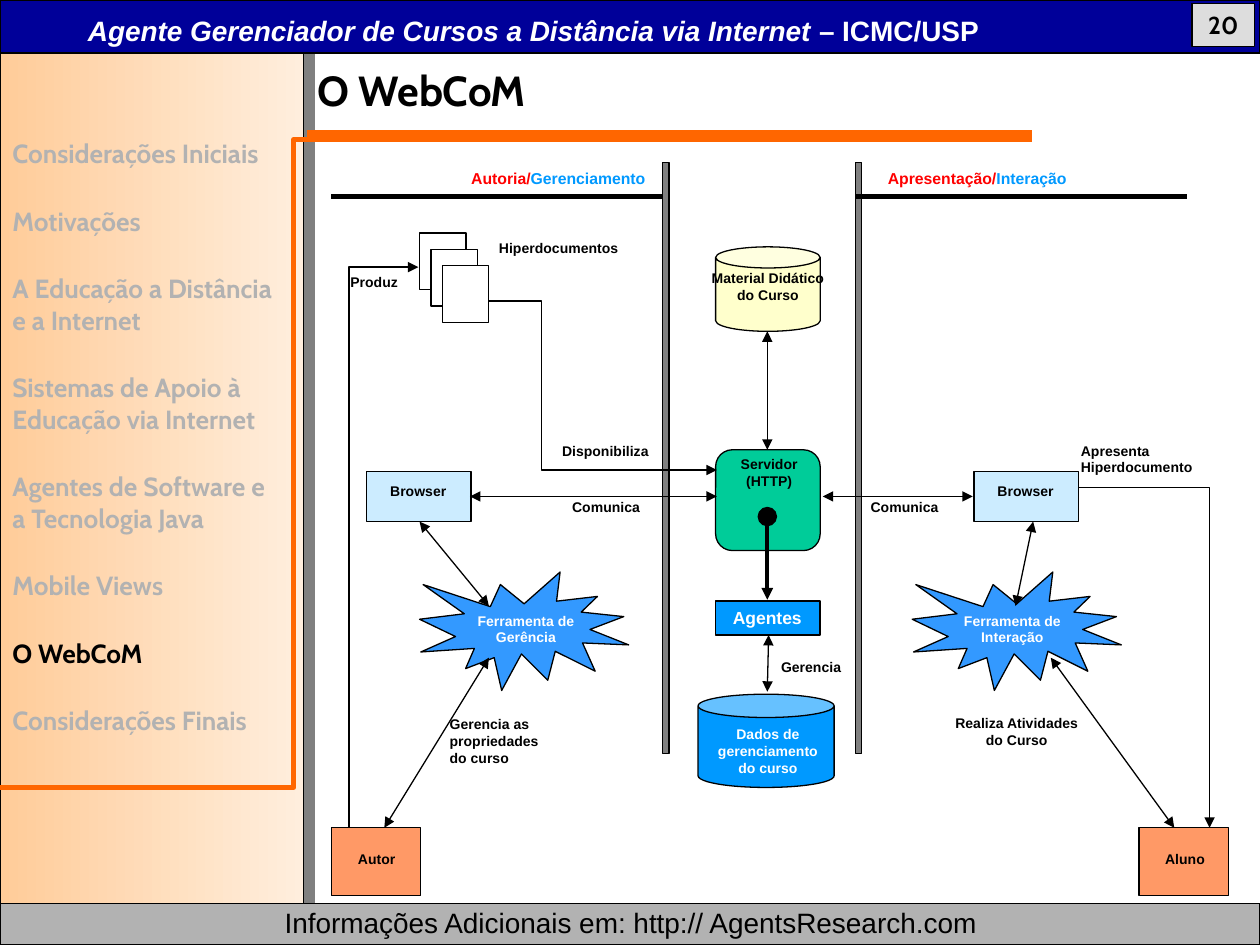
from typing import NamedTuple, Optional

from lxml import etree
from pptx import Presentation
from pptx.dml.color import RGBColor
from pptx.enum.shapes import MSO_CONNECTOR, MSO_SHAPE as Shp
from pptx.enum.text import MSO_ANCHOR, MSO_AUTO_SIZE, PP_ALIGN as Al
from pptx.oxml.ns import qn
from pptx.util import Inches, Pt

BLACK = RGBColor(0x00, 0x00, 0x00)
WHITE = RGBColor(0xFF, 0xFF, 0xFF)
NAVY = RGBColor(0x00, 0x00, 0x99)
SILVER = RGBColor(0xB2, 0xB2, 0xB2)
PALE_GRAY = RGBColor(0xDD, 0xDD, 0xDD)
GRAY = RGBColor(0x80, 0x80, 0x80)
ORANGE = RGBColor(0xFF, 0x66, 0x00)
SALMON = RGBColor(0xFF, 0x99, 0x66)
PEACH = RGBColor(0xFF, 0xCC, 0x99)
CREAM = RGBColor(0xFF, 0xEE, 0xDD)
YELLOW = RGBColor(0xFF, 0xFF, 0xCC)
GREEN = RGBColor(0x00, 0xCC, 0x99)
ICE = RGBColor(0xCC, 0xEC, 0xFF)
SKY = RGBColor(0x00, 0x99, 0xFF)
BLUE = RGBColor(0x33, 0x99, 0xFF)
RED = RGBColor(0xFF, 0x00, 0x00)


class Box(NamedTuple):
    kind: Shp
    x: float
    y: float
    w: float
    h: float
    fill: RGBColor


class Label(NamedTuple):
    text: str
    x: float
    y: float
    w: float
    h: float
    color: RGBColor = BLACK
    size: float = 8
    wrap: bool = False
    align: Al = Al.CENTER
    font: str = "Arial"
    bold: bool = True


class Link(NamedTuple):
    x1: float
    y1: float
    x2: float
    y2: float
    head: Optional[str] = "triangle"
    tail: Optional[str] = "triangle"
    weight: float = 0.75
    color: RGBColor = BLACK


class Route(NamedTuple):
    points: list[tuple[float, float]]
    tail: Optional[str] = "triangle"
    weight: float = 0.75
    color: RGBColor = BLACK


def set_line(sp, color: RGBColor, weight: float, head=None, tail=None) -> None:
    sp.line.color.rgb = color
    sp.line.width = Pt(weight)
    ln = sp.line._get_or_add_ln()
    for tag, end in (("a:headEnd", head), ("a:tailEnd", tail)):
        if end:
            size = "lg" if end == "oval" else "med"
            etree.SubElement(ln, qn(tag), type=end, w=size, len=size)


def draw_box(s, b: Box):
    sp = s.shapes.add_shape(b.kind, Inches(b.x), Inches(b.y), Inches(b.w), Inches(b.h))
    sp.shadow.inherit = False
    sp.fill.solid()
    sp.fill.fore_color.rgb = b.fill
    set_line(sp, BLACK, 0.75)
    return sp


def format_run(r, size: float, color: RGBColor, font: str = "Arial", bold: bool = True) -> None:
    r.font.name, r.font.size, r.font.bold = font, Pt(size), bold
    r.font.color.rgb = color


def draw_label(s, t: Label):
    sp = s.shapes.add_textbox(Inches(t.x), Inches(t.y), Inches(t.w), Inches(t.h))
    tf = sp.text_frame
    tf.word_wrap = t.wrap
    if not t.wrap:  # single-line labels get the whole box width
        tf.auto_size = MSO_AUTO_SIZE.SHAPE_TO_FIT_TEXT
        tf.margin_left = Inches(0 if t.align == Al.CENTER else 0.1)
        tf.margin_right = 0
    tf.text = t.text
    for p in tf.paragraphs:
        p.alignment = t.align
        for r in p.runs:
            format_run(r, t.size, t.color, t.font, t.bold)
    return tf


def draw_link(s, k: Link) -> None:
    sp = s.shapes.add_connector(MSO_CONNECTOR.STRAIGHT, Inches(k.x1), Inches(k.y1),
                                Inches(k.x2), Inches(k.y2))
    set_line(sp, k.color, k.weight, k.head, k.tail)
    etree.SubElement(sp._element.spPr, qn("a:effectLst"))


def draw_route(s, route: Route) -> None:
    pts = [(Inches(x), Inches(y)) for x, y in route.points]
    fb = s.shapes.build_freeform(*pts[0])
    fb.add_line_segments(pts[1:], close=False)
    sp = fb.convert_to_shape()
    sp.shadow.inherit = False
    sp.fill.background()
    set_line(sp, route.color, route.weight, tail=route.tail)


def draw_sidebar(s) -> None:
    sp = draw_box(s, Box(Shp.RECTANGLE, 0, 0, 2.41, 7.5, PEACH))
    sp.fill.gradient()
    sp.fill.gradient_angle = 180
    for stop, color, pos in zip(sp.fill.gradient_stops, (CREAM, PEACH), (0, 1)):
        stop.color.rgb, stop.position = color, pos
    effects = sp._element.spPr.find(qn("a:effectLst"))
    shadow = etree.SubElement(effects, qn("a:outerShdw"), dist=str(Pt(8.5)),
                              dir=str(45 * 60000), algn="ctr", rotWithShape="0")
    etree.SubElement(shadow, qn("a:srgbClr"), val=str(GRAY))


def draw_menu(s, items: list[str], current: str) -> None:
    tf = draw_label(s, Label("\n".join(items), 0, 1.04, 2.32, 6.11, SILVER, 15, True,
                             Al.LEFT, "Cabin"))
    for i, p in enumerate(tf.paragraphs):
        p.space_before, p.space_after = Pt(9.4 if i else 0), Pt(11.2)
        if p.text == current:
            p.runs[0].font.color.rgb = BLACK


RECT, CAN, STAR = Shp.RECTANGLE, Shp.CAN, Shp.EXPLOSION1
MENU = ["Considerações Iniciais", "Motivações", "A Educação a Distância e a Internet",
        "Sistemas de Apoio à Educação via Internet",
        "Agentes de Software e a Tecnologia Java", "Mobile Views", "O WebCoM",
        "Considerações Finais"]
BOXES = [
    *[Box(RECT, x, 1.29, 0.05, 4.69, GRAY) for x in (5.26, 6.79)],
    *[Box(RECT, x, 6.57, 0.71, 0.54, SALMON) for x in (2.63, 9.04)],
    *[Box(RECT, x, 3.74, 0.83, 0.4, ICE) for x in (2.91, 7.73)],
    *[Box(STAR, x, 4.54, 1.66, 0.94, BLUE) for x in (3.33, 7.24)],
    *[Box(RECT, 3.33 + 0.09 * i, 1.85 + 0.13 * i, 0.37, 0.45, WHITE) for i in range(3)],
    Box(Shp.ROUNDED_RECTANGLE, 5.68, 3.57, 0.83, 0.8, GREEN),
    Box(CAN, 5.68, 1.96, 0.83, 0.67, YELLOW),
    Box(RECT, 5.68, 4.77, 0.83, 0.27, SKY),
    Box(CAN, 5.54, 5.51, 1.08, 0.74, SKY),
]
LABELS = [
    Label("Autor", 2.74, 6.7, 0.5, 0.24),
    Label("Aluno", 9.15, 6.7, 0.51, 0.24),
    *[Label("Browser", x, 3.78, 0.64, 0.24) for x in (3, 7.82)],
    *[Label("Comunica", x, 3.91, 0.74, 0.24) for x in (4.44, 6.81)],
    Label("Servidor\n(HTTP)", 5.78, 3.57, 0.65, 0.37),
    Label("Material Didático do Curso", 5.54, 2.09, 1.11, 0.37, wrap=True),
    Label("Produz", 2.68, 2.12, 0.58, 0.24),
    Label("Hiperdocumentos", 3.86, 1.85, 1.15, 0.24),
    Label("Disponibiliza", 4.36, 3.46, 0.89, 0.24),
    Label("Ferramenta de\nGerência", 3.46, 4.81, 1.43, 0.37, WHITE, wrap=True),
    Label("Ferramenta de Interação", 7.38, 4.81, 1.31, 0.37, WHITE, wrap=True),
    Label("Gerencia as\npropriedades\ndo curso", 3.47, 5.63, 0.91, 0.5, align=Al.LEFT),
    Label("Agentes", 5.72, 4.77, 0.74, 0.27, WHITE, 10),
    Label("Apresenta\nHiperdocumento", 8.48, 3.46, 1.08, 0.37, align=Al.LEFT),
    Label("Realiza Atividades\ndo Curso", 7.48, 5.62, 1.18, 0.37),
    Label("Gerencia", 6.1, 5.18, 0.68, 0.24, align=Al.LEFT),
    Label("Dados de gerenciamento do curso", 5.54, 5.71, 1.11, 0.5, WHITE, wrap=True),
]
LINKS = [
    Link(2.63, 1.56, 5.26, 1.56, None, None, 3),
    Link(6.79, 1.56, 9.42, 1.56, None, None, 3),
    Link(6.09, 4.1, 6.09, 4.76, "oval", "triangle", 2.25),
    Link(6.09, 3.57, 6.09, 2.63),
    Link(6.1, 5.04, 6.09, 5.49),
    Link(6.53, 3.94, 7.72, 3.94),
    Link(3.73, 3.94, 5.69, 3.94),
    Link(3.05, 6.57, 3.88, 5.22),
    Link(3.88, 4.81, 3.33, 4.14),
    Link(9.32, 6.57, 8.34, 5.22),
    Link(8.06, 4.81, 8.2, 4.14),
]
STUDENT_ROUTE = Route([(8.5, 3.87), (9.6, 3.87), (9.6, 6.57)])
AUTHOR_ROUTES = [
    Route([(2.77, 6.57), (2.77, 2.12), (3.32, 2.12)]),
    Route([(3.88, 2.39), (4.3, 2.39), (4.3, 3.73), (5.69, 3.73)]),
]


def main() -> None:
    prs = Presentation()
    prs.slide_width, prs.slide_height = Inches(10), Inches(7.5)
    s = prs.slides.add_slide(prs.slide_layouts[6])

    # Frame: sidebar, header and footer
    draw_sidebar(s)
    draw_box(s, Box(RECT, 0, 0, 10, 0.42, NAVY))
    draw_box(s, Box(RECT, 0, 7.17, 10, 0.33, SILVER))
    tf = draw_label(s, Label("Agente Gerenciador de Cursos a Distância via Internet ",
                             0.6, 0.06, 7.27, 0.37, WHITE, 16, align=Al.LEFT))
    p = tf.paragraphs[0]
    p.runs[0].font.italic = True
    r = p.add_run()
    r.text = "– ICMC/USP"
    format_run(r, 16, WHITE)
    draw_label(s, Label("Informações Adicionais em: http:// AgentsResearch.com",
                        2.16, 7.14, 5.72, 0.37, size=16, align=Al.LEFT, bold=False))

    # Title, menu and page number
    tf = draw_label(s, Label("O WebCoM", 2.35, 0.46, 7.65, 1.52, BLACK, 24, True,
                             Al.LEFT, "Cabin"))
    tf.margin_left = Inches(0.17)
    draw_link(s, Link(2.44, 1.08, 8.19, 1.08, None, None, 6.5, ORANGE))
    draw_menu(s, MENU, "O WebCoM")
    draw_route(s, Route([(0, 6.25), (2.33, 6.25), (2.33, 1.11), (2.48, 1.11)],
                        None, 3, ORANGE))
    tf = draw_box(s, Box(RECT, 9.46, 0.03, 0.5, 0.34, PALE_GRAY)).text_frame
    tf.text = "20"
    tf.vertical_anchor = MSO_ANCHOR.TOP
    tf.paragraphs[0].alignment = Al.CENTER
    format_run(tf.paragraphs[0].runs[0], 14, BLACK, "Cabin")

    # Architecture diagram; the student route starts behind the browser box
    draw_route(s, STUDENT_ROUTE)
    for draw, parts in ((draw_box, BOXES), (draw_label, LABELS),
                        (draw_route, AUTHOR_ROUTES), (draw_link, LINKS)):
        for part in parts:
            draw(s, part)

    # Two-coloured column headings
    for first, second, x, w in (("Autoria/", "Gerenciamento", 3.64, 1.58),
                                ("Apresentação/", "Interação", 6.95, 1.61)):
        tf = draw_label(s, Label(first, x, 1.29, w, 0.25, RED, 9))
        r = tf.paragraphs[0].add_run()
        r.text = second
        format_run(r, 9, SKY)

    prs.save("out.pptx")


if __name__ == "__main__":
    main()
